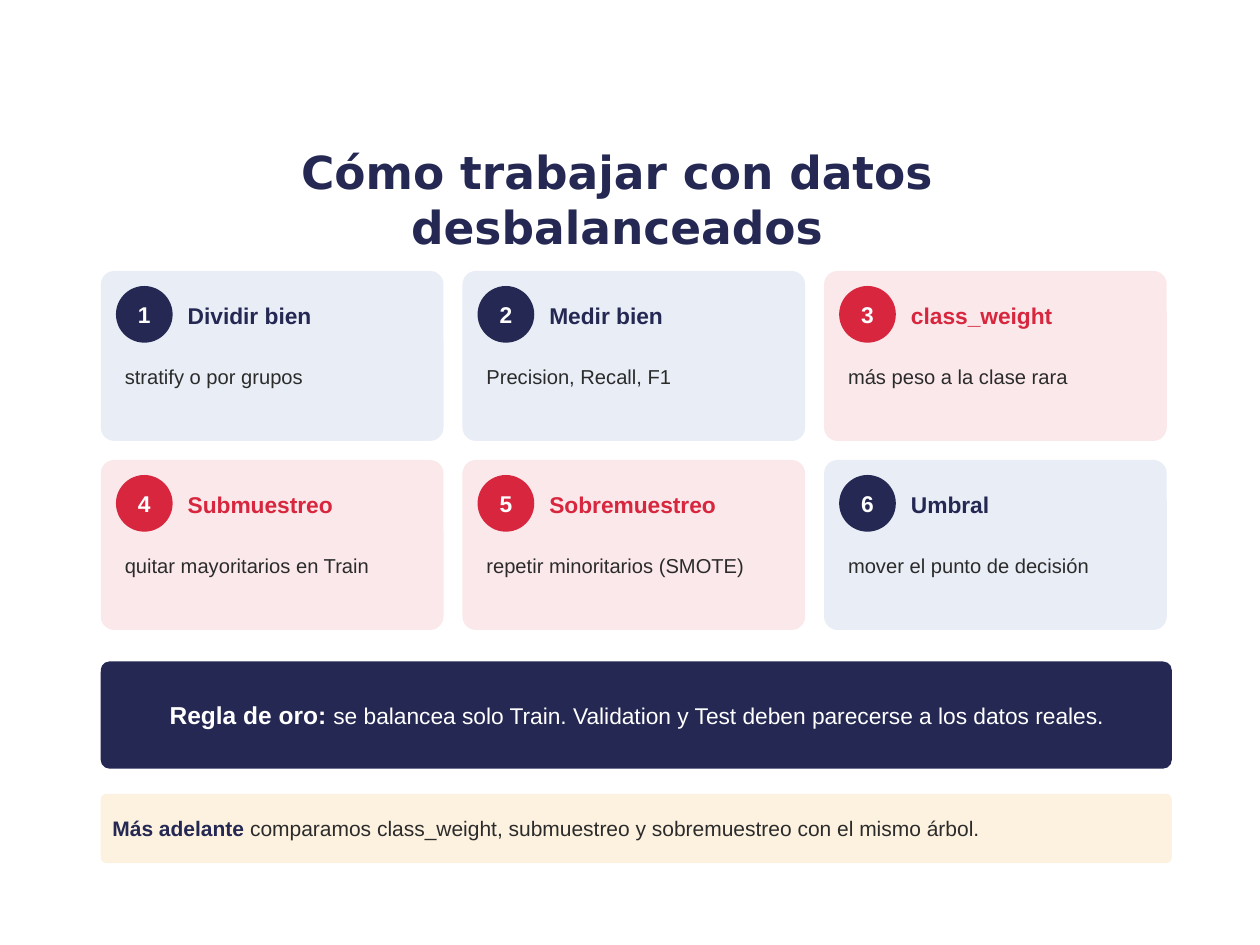
from pptx import Presentation
from pptx.dml.color import RGBColor
from pptx.enum.shapes import MSO_SHAPE as Preset
from pptx.enum.text import MSO_ANCHOR as Anchor, MSO_AUTO_SIZE as AutoSize, PP_ALIGN as Align
from pptx.util import Inches, Pt

NAVY, RED, DARK, WHITE = "242852", "D7263D", "2B2B2B", "FFFFFF"
PALE_BLUE, PALE_RED, CREAM = "E8EDF6", "FBE8EA", "FDF2E0"

CARDS = [
    ("Dividir bien", "stratify o por grupos", False),
    ("Medir bien", "Precision, Recall, F1", False),
    ("class_weight", "más peso a la clase rara", True),
    ("Submuestreo", "quitar mayoritarios en Train", True),
    ("Sobremuestreo", "repetir minoritarios (SMOTE)", True),
    ("Umbral", "mover el punto de decisión", False),
]


def color(hex_code):
    return RGBColor.from_string(hex_code)


def style(size, hex_code, bold=False, name="Arial"):
    return {"size": Pt(size), "bold": bold, "name": name, "color": hex_code}


def write(shape, spans, margin, align=Align.LEFT, anchor=Anchor.MIDDLE,
          auto_size=AutoSize.NONE):
    """Fill a shape with one paragraph of (text, style) spans."""
    frame = shape.text_frame
    frame_format = {"word_wrap": True, "auto_size": auto_size, "vertical_anchor": anchor}
    for side in ("left", "top", "right", "bottom"):
        frame_format[f"margin_{side}"] = Inches(margin)
    for key, value in frame_format.items():
        setattr(frame, key, value)
    para = frame.paragraphs[0]
    para.alignment = align
    for text, font_format in spans:
        span = para.add_run()
        span.text = text
        for key, value in font_format.items():
            if key == "color":
                span.font.color.rgb = color(value)
            else:
                setattr(span.font, key, value)


def add_block(page, preset, box, fill):
    shape = page.shapes.add_shape(preset, *map(Inches, box))
    shape.shadow.inherit = False
    shape.fill.solid()
    shape.fill.fore_color.rgb = color(fill)
    shape.line.fill.background()
    if preset == Preset.ROUNDED_RECTANGLE:
        shape.adjustments[0] = 0.08
    return shape


def add_label(page, box, text, font_format, anchor):
    label = page.shapes.add_textbox(*map(Inches, box))
    write(label, [(text, font_format)], 0.04, anchor=anchor,
          auto_size=AutoSize.SHAPE_TO_FIT_TEXT)


def add_title(page, box, text):
    title = page.shapes.title
    for key, value in zip(("left", "top", "width", "height"), box):
        setattr(title, key, Inches(value))
    write(title, [(text, style(26, NAVY, True, "DejaVu Sans"))], 0.1, Align.CENTER)
    title.text_frame.margin_top = title.text_frame.margin_bottom = Inches(0.05)


def add_card(page, box, number, heading, detail, highlighted):
    left, top, width, height = box
    accent, fill = (RED, PALE_RED) if highlighted else (NAVY, PALE_BLUE)
    add_block(page, Preset.ROUNDED_RECTANGLE, box, fill)
    badge = add_block(page, Preset.OVAL, (left + 0.12, top + 0.12, 0.45, 0.45), accent)
    write(badge, [(str(number), style(13, WHITE, True))], 0, Align.CENTER)
    add_label(page, (left + 0.65, top + 0.1, width - 0.72, 0.5),
              heading, style(13, accent, True), Anchor.MIDDLE)
    add_label(page, (left + 0.15, top + 0.7, width - 0.27, height - 0.75),
              detail, style(11.5, DARK), Anchor.TOP)


def add_card_grid(page, box, columns=3, rows=2, gap=0.15):
    left, top, width, height = box
    card_width = (width - gap * (columns - 1)) / columns
    card_height = (height - gap * (rows - 1)) / rows
    for index, card in enumerate(CARDS):
        row, column = divmod(index, columns)
        card_box = (left + column * (card_width + gap), top + row * (card_height + gap),
                    card_width, card_height)
        add_card(page, card_box, index + 1, *card)


def add_banner(page, box, fill, spans, align):
    banner = add_block(page, Preset.ROUNDED_RECTANGLE, box, fill)
    write(banner, spans, 0.08, align)


def main():
    deck = Presentation()
    deck.slide_width, deck.slide_height = Inches(10), Inches(7.5)
    page = deck.slides.add_slide(deck.slide_layouts[5])  # title only

    add_title(page, (0.75, 1.18, 8.3, 0.8), "Cómo trabajar con datos desbalanceados")
    add_card_grid(page, (0.8, 2.15, 8.46, 2.85))

    # Golden rule
    add_banner(page, (0.8, 5.25, 8.5, 0.85), NAVY, [
        ("Regla de oro: ", style(14, WHITE, True)),
        ("se balancea solo Train. Validation y Test deben parecerse a los datos reales.",
         style(13, WHITE)),
    ], Align.CENTER)

    # Outlook note
    add_banner(page, (0.8, 6.3, 8.5, 0.55), CREAM, [
        ("Más adelante ", style(12, NAVY, True)),
        ("comparamos class_weight, submuestreo y sobremuestreo con el mismo árbol.",
         style(12, DARK)),
    ], Align.LEFT)

    deck.save("out.pptx")


if __name__ == "__main__":
    main()
